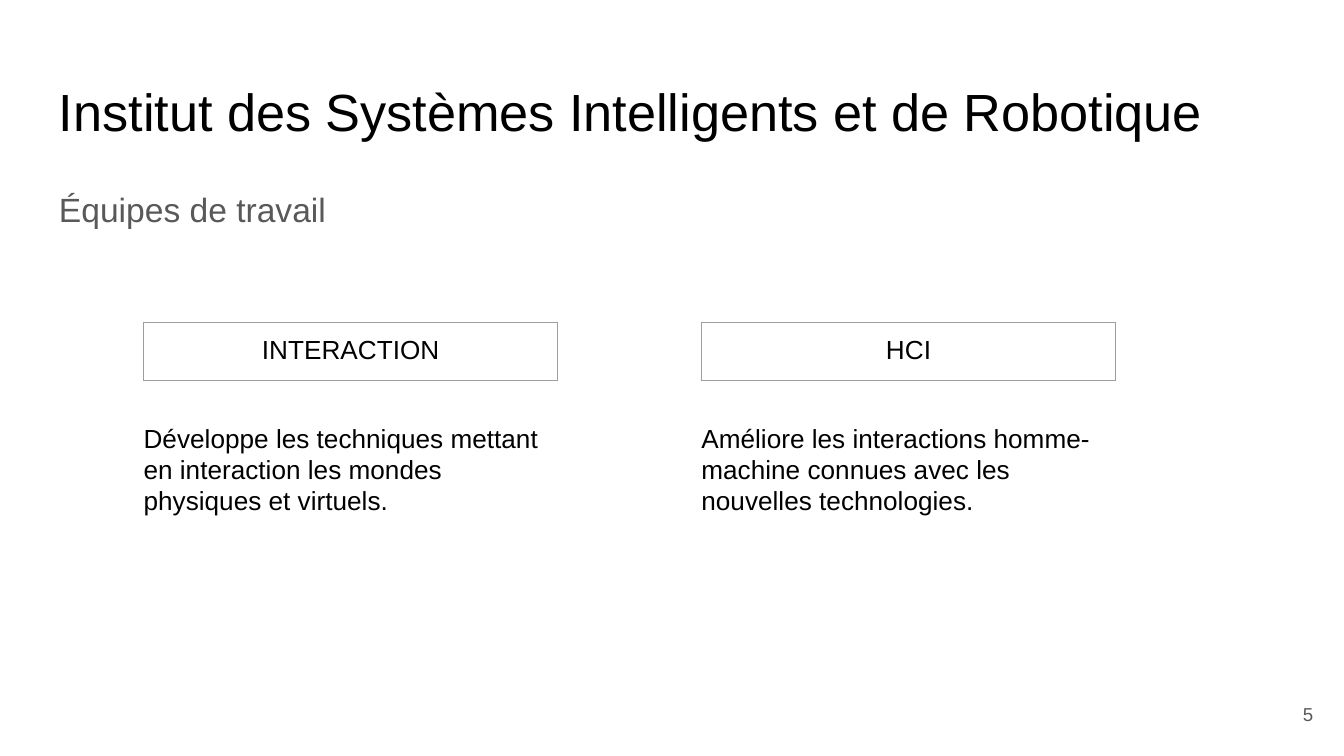
"""Build the slide that presents the two work teams of the institute."""
from dataclasses import dataclass

from lxml.etree import SubElement
from pptx import Presentation
from pptx.dml.color import RGBColor
from pptx.enum.text import MSO_ANCHOR, PP_ALIGN
from pptx.oxml.ns import qn
from pptx.util import Inches, Pt

TITLE = "Institut des Systèmes Intelligents et de Robotique"
LEAD = "Équipes de travail"
PAGE = "5"
TEAMS = [
    ("INTERACTION", "Développe les techniques mettant en interaction "
                    "les mondes physiques et virtuels."),
    ("HCI", "Améliore les interactions homme-machine connues "
            "avec les nouvelles technologies."),
]


@dataclass(frozen=True)
class Theme:
    """Hold the colours and type sizes."""
    font: str = "Arial"
    ink: str = "000000"
    grey: str = "595959"
    edge: str = "9E9E9E"
    head: int = 28
    lead: int = 18
    body: int = 14
    page: int = 10
    rule: float = 0.75


THEME = Theme()
WIDE = 10
HIGH = WIDE * 9 / 16
PAD = 0.1
SIDE = 0.34
FULL = WIDE - 2 * SIDE
LEFT, STEP = 1.07, 4.15
CELL, ROW = 3.08, 0.42
TOP, NOTE = 2.4, 3.04


def write(frame, words, size, tint, align=PP_ALIGN.LEFT, space=None):
    """Put one styled run in a text frame."""
    para = frame.paragraphs[0]
    para.alignment = align
    if space:
        para.line_spacing = space
    run = para.add_run()
    run.text = words
    run.font.name = THEME.font
    run.font.size = Pt(size)
    run.font.color.rgb = RGBColor.from_string(tint)


def inset(item):
    """Set equal margins on a cell or text frame."""
    item.margin_left = item.margin_right = Inches(PAD)
    item.margin_top = item.margin_bottom = Inches(PAD)


def add_text(slide, area, words, size, tint, anchor=MSO_ANCHOR.TOP, **style):
    """Add a wrapped text box."""
    frame = slide.shapes.add_textbox(*map(Inches, area)).text_frame
    frame.word_wrap = True
    frame.vertical_anchor = anchor
    inset(frame)
    write(frame, words, size, tint, **style)


def add_edges(cell):
    """Draw a thin line on each side of a cell."""
    props = cell._tc.get_or_add_tcPr()
    for spot, side in enumerate(("lnL", "lnR", "lnT", "lnB")):
        line = SubElement(props, qn(f"a:{side}"), w=str(Pt(THEME.rule)))
        fill = SubElement(line, qn("a:solidFill"))
        SubElement(fill, qn("a:srgbClr"), val=THEME.edge)
        props.insert(spot, line)


def add_team(slide, left, name, about):
    """Add a team's framed name and its description."""
    area = map(Inches, (left, TOP, CELL, ROW))
    table = slide.shapes.add_table(1, 1, *area).table
    table.first_row = table.horz_banding = False
    cell = table.cell(0, 0)
    cell.fill.background()
    inset(cell)
    add_edges(cell)
    write(cell.text_frame, name, THEME.body, THEME.ink, PP_ALIGN.CENTER)
    add_text(slide, (left - PAD, NOTE, CELL + 2 * PAD, 1.33),
             about, THEME.body, THEME.ink)


def main():
    """Lay out and save the slide."""
    deck = Presentation()
    deck.slide_width, deck.slide_height = Inches(WIDE), Inches(HIGH)
    slide = deck.slides.add_slide(deck.slide_layouts[6])
    add_text(slide, (SIDE, 0.49, FULL, 0.63), TITLE, THEME.head, THEME.ink)
    add_text(slide, (SIDE, 1.26, FULL, 0.56), LEAD, THEME.lead, THEME.grey,
             space=1.15)
    add_text(slide, (9.27, 5.1, 0.6, 0.43), PAGE, THEME.page, THEME.grey,
             MSO_ANCHOR.MIDDLE, align=PP_ALIGN.RIGHT)
    for col, team in enumerate(TEAMS):
        add_team(slide, LEFT + col * STEP, *team)
    deck.save("out.pptx")


if __name__ == "__main__":
    main()
